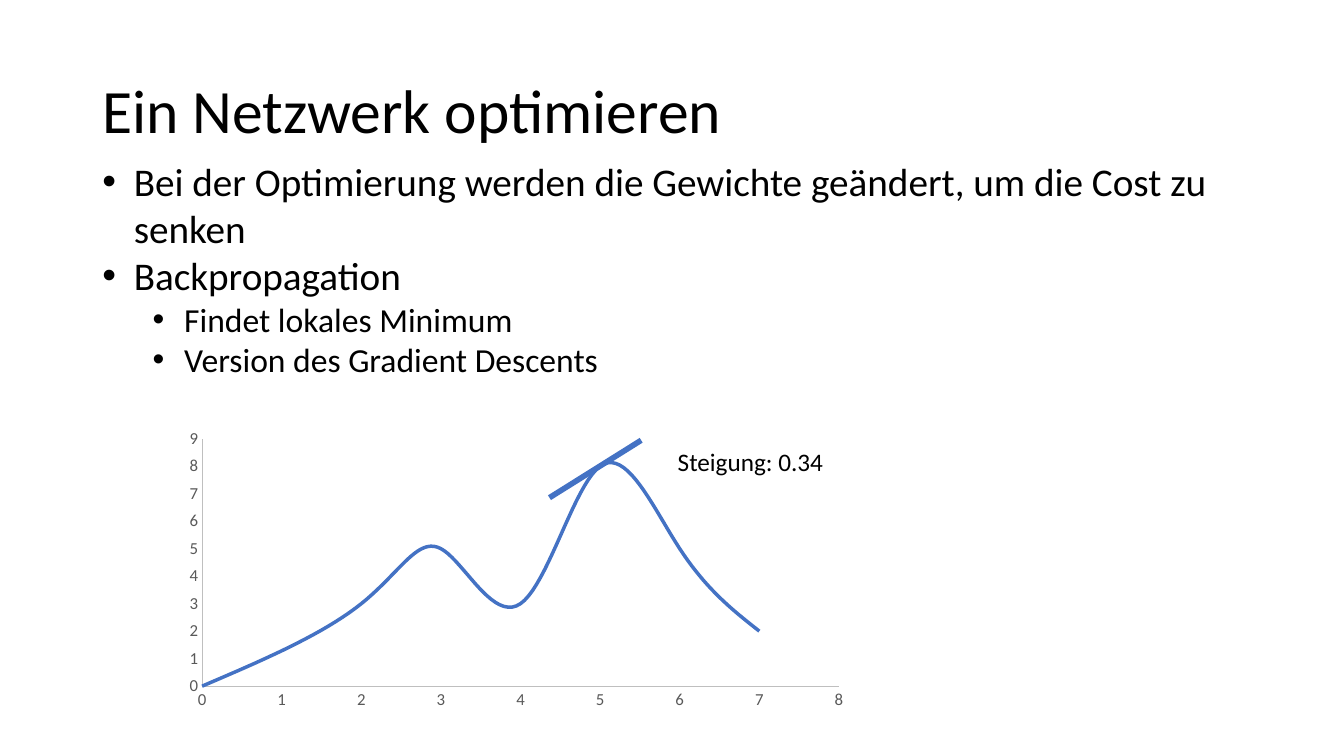
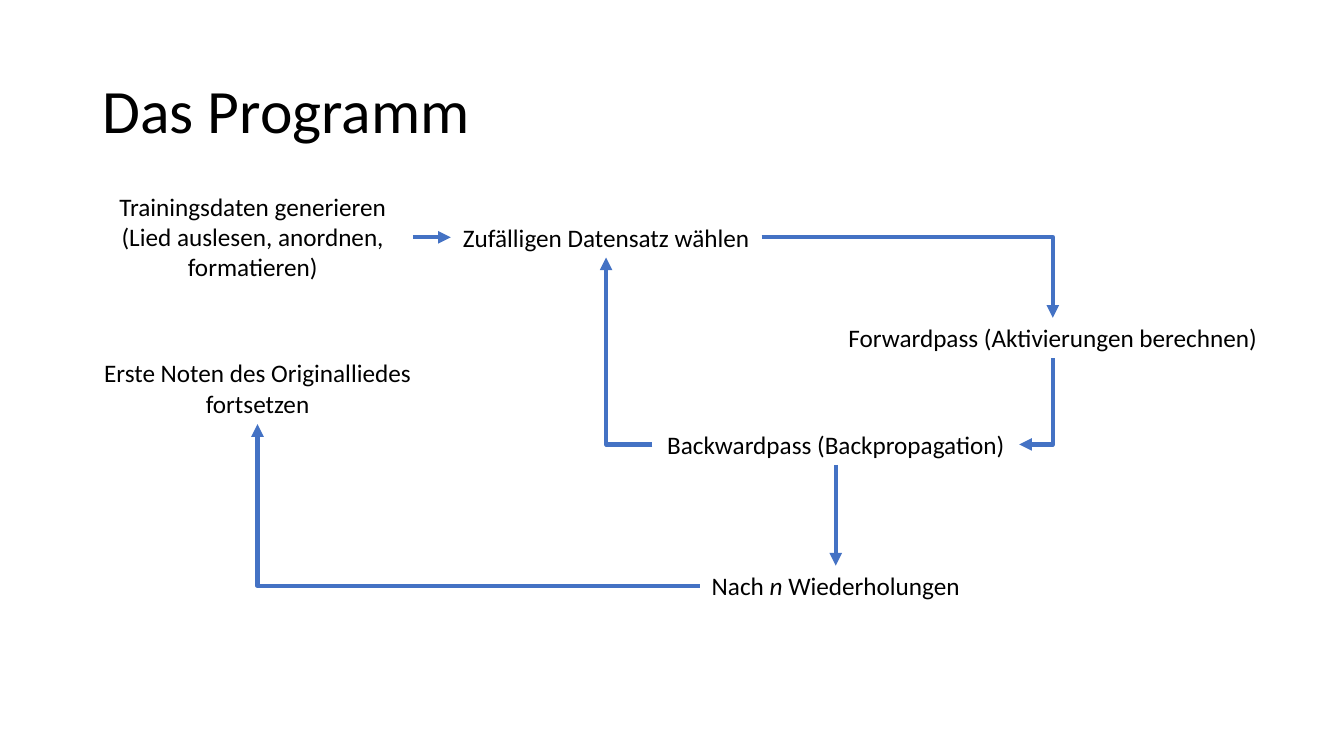
from dataclasses import dataclass

from lxml import etree
from pptx import Presentation
from pptx.chart.data import XyChartData
from pptx.dml.color import RGBColor
from pptx.enum.chart import XL_CHART_TYPE, XL_TICK_MARK
from pptx.enum.shapes import MSO_CONNECTOR
from pptx.enum.text import MSO_ANCHOR, PP_ALIGN
from pptx.oxml.ns import qn
from pptx.util import Pt

LEFT, CENTER = PP_ALIGN.LEFT, PP_ALIGN.CENTER
MIDDLE = MSO_ANCHOR.MIDDLE
STRAIGHT, ELBOW = MSO_CONNECTOR.STRAIGHT, MSO_CONNECTOR.ELBOW
SMOOTH_CURVE = XL_CHART_TYPE.XY_SCATTER_SMOOTH_NO_MARKERS
NO_TICKS = XL_TICK_MARK.NONE
TOP, LEFT_SIDE, BOTTOM, RIGHT_SIDE = range(4)  # connection sites of a box


@dataclass(frozen=True)
class Theme:
    font: str = "Calibri"
    text: RGBColor = RGBColor(0, 0, 0)
    accent: RGBColor = RGBColor(0x44, 0x72, 0xC4)
    axis_text: RGBColor = RGBColor(0x59, 0x59, 0x59)
    axis_line: RGBColor = RGBColor(0xBF, 0xBF, 0xBF)
    title_size: int = 44
    bullet_sizes: tuple = (28, 24)
    label_size: int = 18
    axis_size: int = 12


THEME = Theme()


def style_text(frame, size, align=LEFT):
    for paragraph in frame.paragraphs:
        paragraph.alignment = align
        for run in paragraph.runs:
            run.font.name, run.font.size = THEME.font, Pt(size)
            run.font.color.rgb = THEME.text


def style_line(connector, width, arrow_end=None):
    """Colour a connector, drop its shadow and add an arrow at headEnd or tailEnd."""
    connector.line.color.rgb = THEME.accent
    connector.line.width = Pt(width)
    properties = connector._element.spPr
    if arrow_end:
        etree.SubElement(properties.get_or_add_ln(), qn(f"a:{arrow_end}"), type="triangle")
    etree.SubElement(properties, qn("a:effectLst"))


deck = Presentation()
deck.slide_width, deck.slide_height = Pt(960), Pt(540)
title_only = deck.slide_layouts[5]
TITLE_PLACE = {"left": Pt(66), "top": Pt(29), "width": Pt(828), "height": Pt(104)}

slides = []
for heading in ("Ein Netzwerk optimieren", "Das Programm"):
    slide = deck.slides.add_slide(title_only)
    title = slide.shapes.title
    for attribute, value in TITLE_PLACE.items():
        setattr(title, attribute, value)
    title.text_frame.text = heading
    title.text_frame.vertical_anchor = MIDDLE
    title.text_frame.paragraphs[0].line_spacing = 0.9
    style_text(title.text_frame, THEME.title_size)
    slides.append(slide)
optimisation, program = slides

# Slide 1: bullets
bullets = [
    (0, "Bei der Optimierung werden die Gewichte geändert, um die Cost zu senken"),
    (0, "Backpropagation"),
    (1, "Findet lokales Minimum"),
    (1, "Version des Gradient Descents"),
]
frame = optimisation.shapes.add_textbox(Pt(66), Pt(112.5), Pt(828), Pt(160)).text_frame
frame.word_wrap = True
frame.margin_top = frame.margin_bottom = 0
for index, (level, wording) in enumerate(bullets):
    paragraph = frame.paragraphs[0] if index == 0 else frame.add_paragraph()
    paragraph.level = level
    properties = paragraph._p.get_or_add_pPr()
    properties.set("marL", str(Pt(22.5 + 36 * level)))
    properties.set("indent", str(Pt(-22.5)))
    etree.SubElement(properties, qn("a:buFont"), typeface="Arial")
    etree.SubElement(properties, qn("a:buChar"), char="•")
    run = paragraph.add_run()
    run.text = wording
    run.font.name, run.font.size = THEME.font, Pt(THEME.bullet_sizes[level])
    run.font.color.rgb = THEME.text

# Slide 1: cost curve with its tangent
curve_data = XyChartData()
curve = curve_data.add_series("Series 1")
for x, y in [(0, 0), (2, 3), (3, 5), (4, 3), (5, 8), (6, 5), (7, 2)]:
    curve.add_data_point(x, y)
chart = optimisation.shapes.add_chart(
    SMOOTH_CURVE, Pt(125), Pt(303), Pt(484), Pt(208), curve_data
).chart
chart.has_legend = chart.has_title = False
chart.font.name, chart.font.size = THEME.font, Pt(THEME.axis_size)
chart.font.color.rgb = THEME.axis_text
chart.plots[0].vary_by_categories = False

AXIS_FORMAT = {
    "has_major_gridlines": False,
    "major_tick_mark": NO_TICKS,
    "minor_tick_mark": NO_TICKS,
    "minimum_scale": 0,
    "major_unit": 1,
}
for axis, maximum in ((chart.category_axis, 8), (chart.value_axis, 9)):
    for attribute, value in AXIS_FORMAT.items():
        setattr(axis, attribute, value)
    axis.maximum_scale = maximum
    axis.tick_labels.number_format = "General"
    axis.tick_labels.number_format_is_linked = False
    axis.format.line.color.rgb = THEME.axis_line
    axis.format.line.width = Pt(0.75)

series = chart.plots[0].series[0]
series.format.line.color.rgb = THEME.accent
series.format.line.width = Pt(2.5)
series._element.find(qn("c:smooth")).set("val", "1")

plot_area = chart._chartSpace.chart.plotArea
for old_layout in plot_area.findall(qn("c:layout")):
    plot_area.remove(old_layout)
layout = etree.Element(qn("c:layout"))
plot_area.insert(0, layout)
manual = etree.SubElement(layout, qn("c:manualLayout"))
PLOT_PLACE = {
    "layoutTarget": "inner", "xMode": "edge", "yMode": "edge",
    "x": "0.04", "y": "0.05", "w": "0.94", "h": "0.85",
}
for tag, value in PLOT_PLACE.items():
    etree.SubElement(manual, qn(f"c:{tag}"), val=value)

tangent = optimisation.shapes.add_connector(STRAIGHT, Pt(458), Pt(314.5), Pt(392.5), Pt(355.5))
style_line(tangent, 4)
slope = optimisation.shapes.add_textbox(Pt(477), Pt(315), Pt(157), Pt(29)).text_frame
slope.word_wrap = True
slope.text = "Steigung: 0.34"
style_text(slope, THEME.label_size)

# Slide 2: steps as runs of text, with left, top, width, height
steps = {
    "data": (["Trainingsdaten generieren (Lied auslesen, anordnen, formatieren)"],
             66, 133, 229, 73),
    "choose": (["Zufälligen Datensatz wählen"], 322, 155, 222, 29),
    "forward": (["Forwardpass (Aktivierungen berechnen)"], 597, 227, 310, 29),
    "backward": (["Backwardpass (Backpropagation)"], 466, 303, 262, 29),
    "repeat": (["Nach ", "n", " Wiederholungen"], 500, 404, 194, 29),
    "continue": (["Erste Noten des Originalliedes\vfortsetzen"], 66, 252, 236, 51),
}
boxes = {}
for step, (pieces, *place) in steps.items():
    boxes[step] = program.shapes.add_textbox(*map(Pt, place))
    frame = boxes[step].text_frame
    frame.word_wrap = step == "data"
    if len(pieces) == 1:
        frame.text = pieces[0]
    else:
        for piece in pieces:
            run = frame.paragraphs[0].add_run()
            run.text = piece
            run.font.italic = piece == "n"
    style_text(frame, THEME.label_size, CENTER)

# Each elbow leaves its first box sideways and meets the second one vertically
flows = [
    (STRAIGHT, "data", RIGHT_SIDE, "choose", LEFT_SIDE, "tailEnd"),
    (ELBOW, "choose", RIGHT_SIDE, "forward", TOP, "tailEnd"),
    (ELBOW, "backward", RIGHT_SIDE, "forward", BOTTOM, "headEnd"),
    (ELBOW, "backward", LEFT_SIDE, "choose", BOTTOM, "tailEnd"),
    (STRAIGHT, "backward", BOTTOM, "repeat", TOP, "tailEnd"),
    (ELBOW, "repeat", LEFT_SIDE, "continue", BOTTOM, "tailEnd"),
]
for kind, first, first_site, second, second_site, arrow_end in flows:
    flow = program.shapes.add_connector(kind, 0, 0, 0, 0)
    flow.begin_connect(boxes[first], first_site)
    flow.end_connect(boxes[second], second_site)
    if kind == ELBOW:
        flow._element.spPr.find(qn("a:prstGeom")).set("prst", "bentConnector2")
    style_line(flow, 3, arrow_end)

deck.save("out.pptx")
